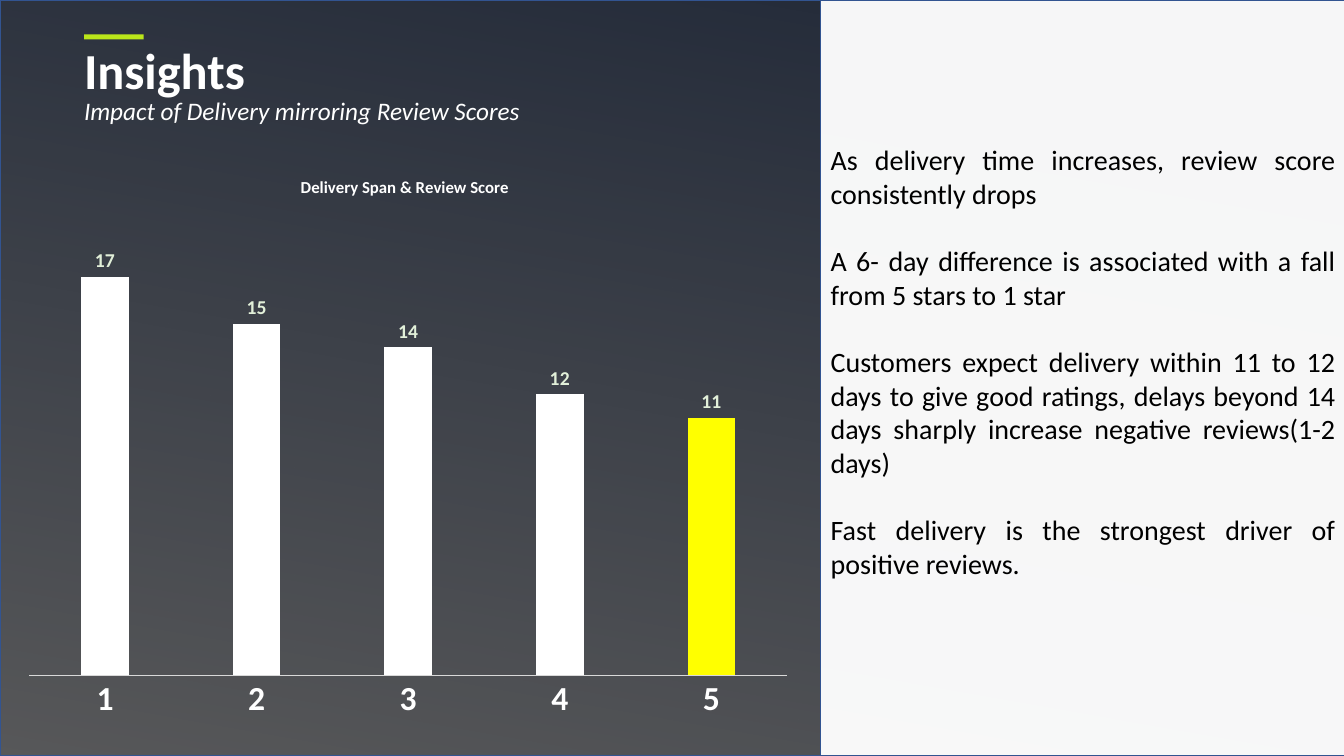
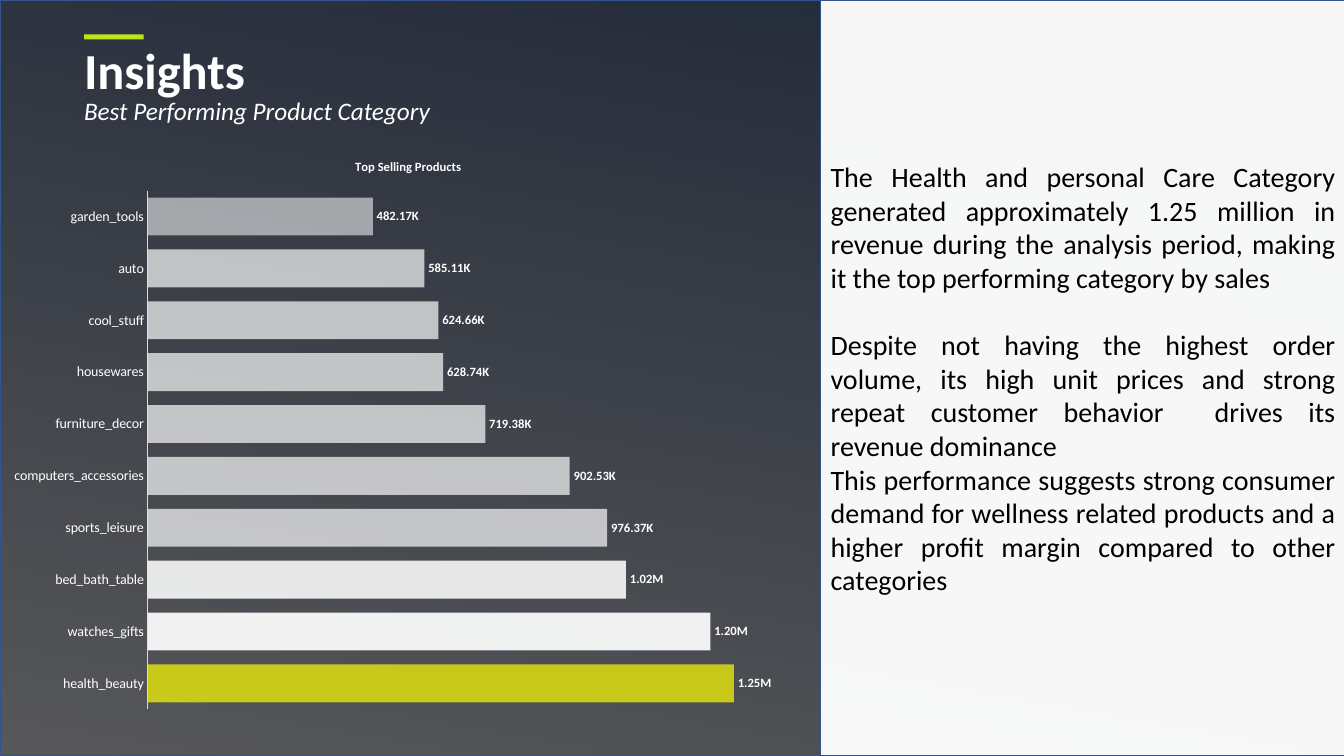
from collections import namedtuple
from dataclasses import dataclass, field

from pptx import Presentation
from pptx.chart.data import CategoryChartData
from pptx.dml.color import RGBColor
from pptx.enum.chart import XL_CHART_TYPE as ChartType
from pptx.enum.chart import XL_LABEL_POSITION as LabelPosition
from pptx.enum.chart import XL_TICK_MARK as TickMark
from pptx.enum.shapes import MSO_SHAPE as Preset
from pptx.enum.text import MSO_ANCHOR as Anchor
from pptx.enum.text import MSO_AUTO_SIZE as AutoSize
from pptx.enum.text import PP_ALIGN as Align
from pptx.oxml import parse_xml
from pptx.oxml.ns import nsdecls, qn
from pptx.oxml.xmlchemy import OxmlElement
from pptx.util import Inches, Pt

COLS, ROWS = 160, 90
CELL = Inches(1) // 12
FONT = "Calibri"
NAVY, BLACK, WHITE = "002060", "000000", "FFFFFF"
BORDER, LIME, YELLOW = "325491", "BBE61A", "FFFF00"
AXIS_GREY, PALE_GREEN = "D9D9D9", "E2F0D9"
THOUSANDS = '[>=1000000]0.00,,"M";[>=1000]0.00,"K";0.'

Box = namedtuple("Box", "col row cols rows")
FULL_SLIDE = Box(0, 0, COLS, ROWS)
SHADE = Box(0, 0, COLS + 0.2, ROWS)
HEADER = Box(10, 4.1, 140, 10.8)
COMMENTARY = Box(97.68, 0, 62.52, ROWS)


@dataclass
class ChartPlan:
    kind: int
    box: Box
    title: str
    title_size: int
    title_spot: tuple
    plot_area: tuple
    values: dict
    maximum: int
    gap: int
    axis_size: int
    axis_bold: bool
    label_size: int
    label_color: str
    number_format: str
    opacity: int = 100
    highlights: dict = field(default_factory=dict)
    exact_labels: tuple = ()


def color(hex_code):
    return RGBColor.from_string(hex_code)


def paint(fill, hex_code, opacity=100):
    fill.solid()
    fill.fore_color.rgb = color(hex_code)
    if opacity < 100:
        set_alpha(fill._xPr.find(".//" + qn("a:srgbClr")), opacity)


def set_alpha(color_element, opacity):
    alpha = OxmlElement("a:alpha")
    alpha.set("val", str(opacity * 1000))
    color_element.append(alpha)


def outline(shape):
    shape.line.color.rgb = color(BORDER)
    shape.line.width = Pt(1)


def lengths(box):
    return [round(part * CELL) for part in box]


def put(shape, box):
    shape.left, shape.top, shape.width, shape.height = lengths(box)


def style(font, size, hex_code, bold=False, italic=False):
    font.name, font.size = FONT, Pt(size)
    font.bold, font.italic = bold, italic
    font.color.rgb = color(hex_code)


def rectangle(slide, box):
    shape = slide.shapes.add_shape(Preset.RECTANGLE, *lengths(box))
    shape.shadow.inherit = False
    shape.line.fill.background()
    return shape


def decorate_layout(slide):
    wash = rectangle(slide, FULL_SLIDE)
    wash.fill.gradient()
    wash.fill.gradient_angle = 260
    for stop, (position, opacity) in zip(wash.fill.gradient_stops, [(0, 35), (1, 94)]):
        stop.position = position
        stop.color.rgb = color(WHITE)
        set_alpha(stop._gs.find(qn("a:srgbClr")), opacity)

    shade = rectangle(slide, SHADE)
    paint(shade.fill, BLACK, 63)
    outline(shade)

    accent = rectangle(slide, Box(HEADER.col, HEADER.row, 7.1, 0.6))
    paint(accent.fill, LIME)

    layout_tree = slide.slide_layout.shapes._spTree
    for number, part in enumerate((wash, shade, accent), start=100):
        part._element.nvSpPr.cNvPr.set("id", str(number))
        layout_tree.append(part._element)


def prepare_frame(shape, inset=None):
    frame = shape.text_frame
    frame.word_wrap = True
    frame.auto_size = AutoSize.NONE
    frame.vertical_anchor = Anchor.TOP
    if inset is not None:
        frame.margin_left = frame.margin_right = inset
        frame.margin_top = frame.margin_bottom = inset
    return frame


def write(paragraph, text, align, gap, **look):
    paragraph.text = text
    paragraph.alignment = align
    paragraph.space_before = Pt(gap)
    properties = paragraph._p.get_or_add_pPr()
    properties.set("marL", "0")
    properties.set("indent", "0")
    properties.append(OxmlElement("a:buNone"))
    for run in paragraph.runs:
        style(run.font, **look)


def add_header(slide, box, heading, subheading):
    title, subtitle = slide.shapes.title, slide.placeholders[1]
    put(title, Box(box.col, box.row + 0.6, box.cols, 7.3))
    put(subtitle, Box(box.col, box.row + 7.2, 62.5, 3.6))
    looks = [
        (title, heading, dict(size=36, bold=True)),
        (subtitle, subheading, dict(size=18, italic=True)),
    ]
    for holder, text, look in looks:
        first = prepare_frame(holder, 0).paragraphs[0]
        write(first, text, Align.LEFT, 0, hex_code=WHITE, **look)


def add_commentary(slide, box, groups, bottom_rows):
    panel = slide.placeholders[2]
    put(panel, box)
    paint(panel.fill, WHITE, 96)
    outline(panel)
    frame = prepare_frame(panel)
    frame.vertical_anchor = Anchor.MIDDLE
    frame.margin_bottom = round(bottom_rows * CELL)
    paragraph = frame.paragraphs[0]
    for group_number, group in enumerate(groups):
        for line_number, text in enumerate(group):
            if group_number or line_number:
                paragraph = frame.add_paragraph()
            gap = 24 if group_number and not line_number else 0
            write(paragraph, text, Align.JUSTIFY, gap, size=20, hex_code=BLACK)


def set_layout(parent, index, inner, **shares):
    for old in parent.findall(qn("c:layout")):
        parent.remove(old)
    target = '<c:layoutTarget val="inner"/>' if inner else ""
    modes = "".join(f'<c:{key}Mode val="edge"/>' for key in "xy")
    sizes = "".join(f'<c:{key} val="{share}"/>' for key, share in shares.items())
    parent.insert(index, parse_xml(
        f'<c:layout {nsdecls("c")}><c:manualLayout>{target}{modes}{sizes}'
        "</c:manualLayout></c:layout>"))


def add_insight_chart(slide, plan):
    data = CategoryChartData(number_format=plan.number_format)
    data.categories = list(plan.values)
    data.add_series("Series 1", list(plan.values.values()))
    chart = slide.shapes.add_chart(plan.kind, *lengths(plan.box), data).chart
    style(chart.font, 10, BLACK)
    chart.has_legend = False

    heading = chart.chart_title.text_frame.paragraphs[0]
    heading.text = plan.title
    style(heading.runs[0].font, plan.title_size, WHITE, bold=True)
    set_layout(chart.chart_title._element, 1, False, **dict(zip("xy", plan.title_spot)))
    set_layout(chart.plots[0]._element.getparent(), 0, True,
               **dict(zip("xywh", plan.plot_area)))

    categories, scale = chart.category_axis, chart.value_axis
    categories.major_tick_mark = categories.minor_tick_mark = TickMark.NONE
    categories.has_major_gridlines = False
    style(categories.tick_labels.font, plan.axis_size, WHITE, bold=plan.axis_bold)
    categories.format.line.color.rgb = color(AXIS_GREY)
    categories.format.line.width = Pt(0.75)
    scale.has_major_gridlines = False
    scale.minimum_scale, scale.maximum_scale = 0, plan.maximum
    scale.visible = False

    plot = chart.plots[0]
    plot.gap_width = plan.gap
    plot.vary_by_categories = False
    bars = plot.series[0]
    bars.invert_if_negative = False
    paint(bars.format.fill, WHITE, plan.opacity)
    for position, (hex_code, opacity) in plan.highlights.items():
        paint(bars.points[position].format.fill, hex_code, opacity)

    labels = bars.data_labels
    labels.show_value = True
    labels.position = LabelPosition.OUTSIDE_END
    labels.number_format = plan.number_format
    labels.number_format_is_linked = False
    style(labels.font, plan.label_size, plan.label_color, bold=True)
    for position, text in enumerate(plan.exact_labels):
        label = bars.points[position].data_label
        wording = label.text_frame.paragraphs[0]
        wording.text = text
        style(wording.runs[0].font, plan.label_size, plan.label_color, bold=True)
        label.position = LabelPosition.OUTSIDE_END


def add_insight(deck, subheading, groups, bottom_rows, plan):
    slide = deck.slides.add_slide(deck.slide_layouts.get_by_name("Two Content"))
    add_header(slide, HEADER, "Insights", subheading)
    add_commentary(slide, COMMENTARY, groups, bottom_rows)
    add_insight_chart(slide, plan)
    return slide


def main():
    deck = Presentation()
    deck.slide_width, deck.slide_height = COLS * CELL, ROWS * CELL
    paint(deck.slide_master.background.fill, NAVY)

    delivery = ChartPlan(
        kind=ChartType.COLUMN_CLUSTERED, box=Box(1.6, 18.5, 94, 68.8),
        title="Delivery Span & Review Score", title_size=12,
        title_spot=(0.36, 0.03), plot_area=(0.02, 0.17, 0.96, 0.73),
        values={"1": 17, "2": 15, "3": 14, "4": 12, "5": 11},
        maximum=18, gap=219, axis_size=24, axis_bold=True,
        label_size=14, label_color=PALE_GREEN, number_format="0",
        highlights={4: (YELLOW, 100)})
    products = ChartPlan(
        kind=ChartType.BAR_CLUSTERED, box=Box(0, 16.45, 97.7, 69.4),
        title="Top Selling Products", title_size=9,
        title_spot=(0.43, 0.03), plot_area=(0.18, 0.09, 0.8, 0.89),
        values={
            "health_beauty": 1250000, "watches_gifts": 1200000,
            "bed_bath_table": 1020000, "sports_leisure": 980000,
            "computers_accessories": 900000, "furniture_decor": 720000,
            "housewares": 630000, "cool_stuff": 620000,
            "auto": 590000, "garden_tools": 480000},
        maximum=1400000, gap=37, axis_size=10, axis_bold=False,
        label_size=9, label_color=WHITE, number_format=THOUSANDS, opacity=69,
        highlights={0: (YELLOW, 69), 1: (WHITE, 92), 2: (WHITE, 87), 9: (WHITE, 55)},
        exact_labels=("1.25M", "1.20M", "1.02M", "976.37K", "902.53K", "719.38K",
                      "628.74K", "624.66K", "585.11K", "482.17K"))

    first = add_insight(deck, "Impact of Delivery mirroring Review Scores", [
        ["As delivery time increases, review score consistently drops"],
        ["A 6- day difference is associated with a fall from 5 stars to 1 star"],
        ["Customers expect delivery within 11 to 12 days to give good ratings, "
         "delays beyond 14 days sharply increase negative reviews(1-2 days)"],
        ["Fast delivery is the strongest driver of positive reviews."],
    ], 4.6, delivery)
    decorate_layout(first)
    add_insight(deck, "Best Performing Product Category", [
        ["The Health and personal Care Category generated approximately 1.25 million "
         "in revenue during the analysis period, making it the top performing "
         "category by sales"],
        ["Despite not having the highest order volume, its high unit prices and "
         "strong repeat customer behavior  drives its revenue dominance",
         "This performance suggests strong consumer demand for wellness related "
         "products and a higher profit margin compared to other categories"],
    ], 0.6, products)
    deck.save("out.pptx")


if __name__ == "__main__":
    main()
